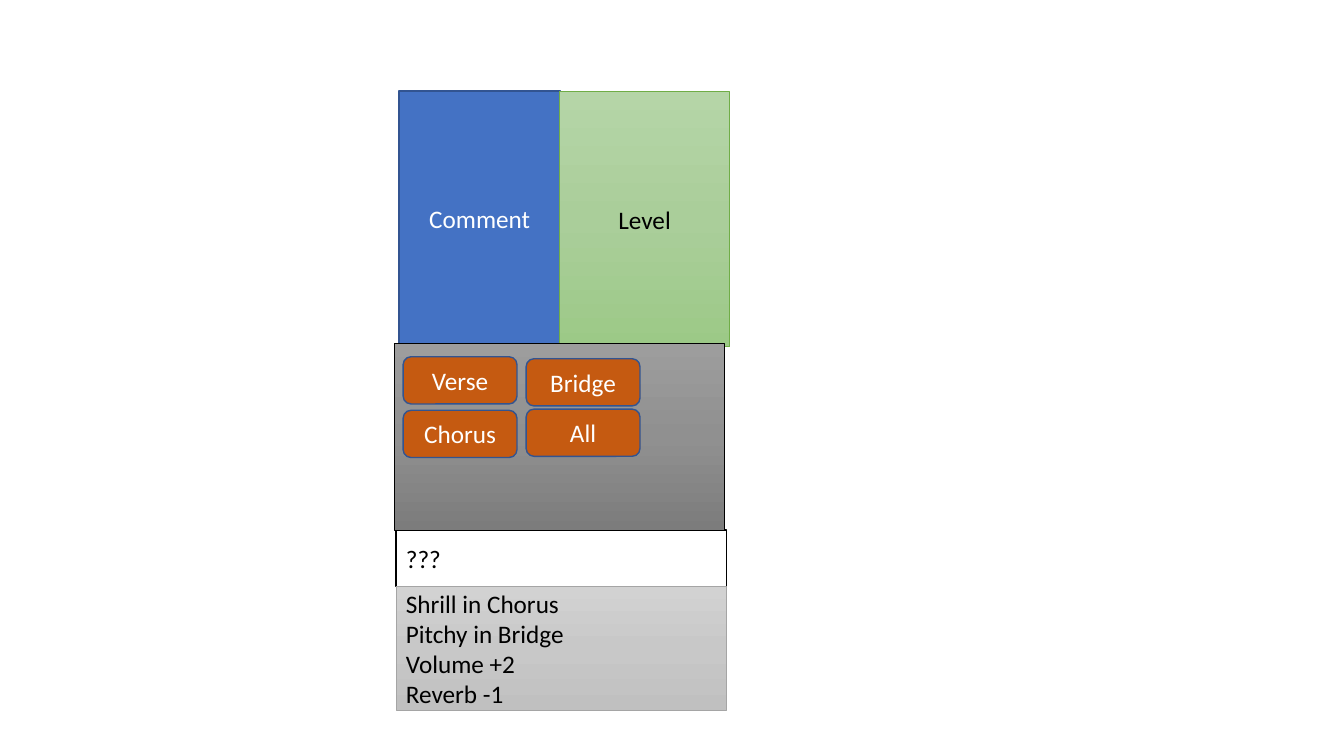
from copy import deepcopy
from dataclasses import dataclass

from pptx import Presentation
from pptx.dml.color import RGBColor as Rgb
from pptx.enum.shapes import MSO_SHAPE as Geometry
from pptx.enum.text import MSO_ANCHOR as Anchor, PP_ALIGN as Align
from pptx.oxml.ns import qn
from pptx.util import Cm, Pt


@dataclass(frozen=True)
class Theme:
    font: str = "Calibri"
    size: int = 18
    thin: float = 0.5
    regular: float = 1
    white: str = "FFFFFF"
    black: str = "000000"
    blue: str = "4472C4"
    navy: str = "325491"
    orange: str = "C55A11"
    green_edge: str = "70AD47"
    gray_edge: str = "A5A5A5"
    green: tuple = ("B5D5A7", "AACE9A", "9CC987")
    light_gray: tuple = ("D2D2D2", "C8C8C8", "C0C0C0")
    dark_gray: tuple = ("9D9D9D", "909090", "7C7C7C")


class Mockup:
    def __init__(self, slide, theme):
        self.slide = slide
        self.theme = theme

    def panel(self, box, fill, edge, weight, geometry=Geometry.RECTANGLE):
        shape = self.slide.shapes.add_shape(geometry, *map(Cm, box))
        shape.shadow.inherit = False
        if isinstance(fill, tuple):
            self.shade(shape, fill)
        else:
            shape.fill.solid()
            shape.fill.fore_color.rgb = Rgb.from_string(fill)
        shape.line.color.rgb = Rgb.from_string(edge)
        shape.line.width = Pt(weight)
        return shape

    def shade(self, shape, colors):
        shape.fill.gradient()
        shape.fill.gradient_angle = 270
        stops = next(shape._element.spPr.iter(qn("a:gsLst")))
        middle = deepcopy(stops[0])
        middle.set("pos", "50000")
        stops.insert(1, middle)
        for stop, color in zip(shape.fill.gradient_stops, colors):
            stop.color.rgb = Rgb.from_string(color)

    def label(self, shape, lines, color, align=Align.CENTER):
        frame = shape.text_frame
        frame.word_wrap = True
        frame.vertical_anchor = Anchor.MIDDLE
        for number, line in enumerate(lines):
            paragraph = frame.add_paragraph() if number else frame.paragraphs[0]
            paragraph.alignment = align
            run = paragraph.add_run()
            run.text = line
            run.font.name = self.theme.font
            run.font.size = Pt(self.theme.size)
            run.font.color.rgb = Rgb.from_string(color)

    def button(self, caption, left, top):
        theme = self.theme
        shape = self.panel((left, top, 2.87, 1.19), theme.orange, theme.navy,
                           theme.regular, Geometry.ROUNDED_RECTANGLE)
        self.label(shape, [caption], theme.white)


theme = Theme()
deck = Presentation()
deck.slide_width, deck.slide_height = Cm(33.87), Cm(19.05)
mockup = Mockup(deck.slides.add_slide(deck.slide_layouts[6]), theme)

comment = mockup.panel((10.06, 2.29, 4.06, 6.43), theme.blue, theme.navy, theme.regular)
mockup.label(comment, ["Comment"], theme.white)

level = mockup.panel((14.1, 2.31, 4.29, 6.43), theme.green, theme.green_edge, theme.thin)
mockup.label(level, ["Level"], theme.black)

query = mockup.panel((9.98, 13.36, 8.33, 1.42), theme.white, theme.black, theme.regular)
mockup.label(query, ["???"], theme.black, Align.LEFT)

notes = mockup.panel((9.98, 14.78, 8.33, 3.12), theme.light_gray, theme.gray_edge, theme.thin)
remarks = ["Shrill in Chorus", "Pitchy in Bridge", "Volume +2", "Reverb -1"]
mockup.label(notes, remarks, theme.black, Align.LEFT)

mockup.panel((9.93, 8.66, 8.33, 4.7), theme.dark_gray, theme.black, theme.thin)
for section, left, top in [
    ("Verse", 10.16, 8.99),
    ("Chorus", 10.16, 10.34),
    ("Bridge", 13.26, 9.04),
    ("All", 13.26, 10.31),
]:
    mockup.button(section, left, top)

deck.save("out.pptx")
